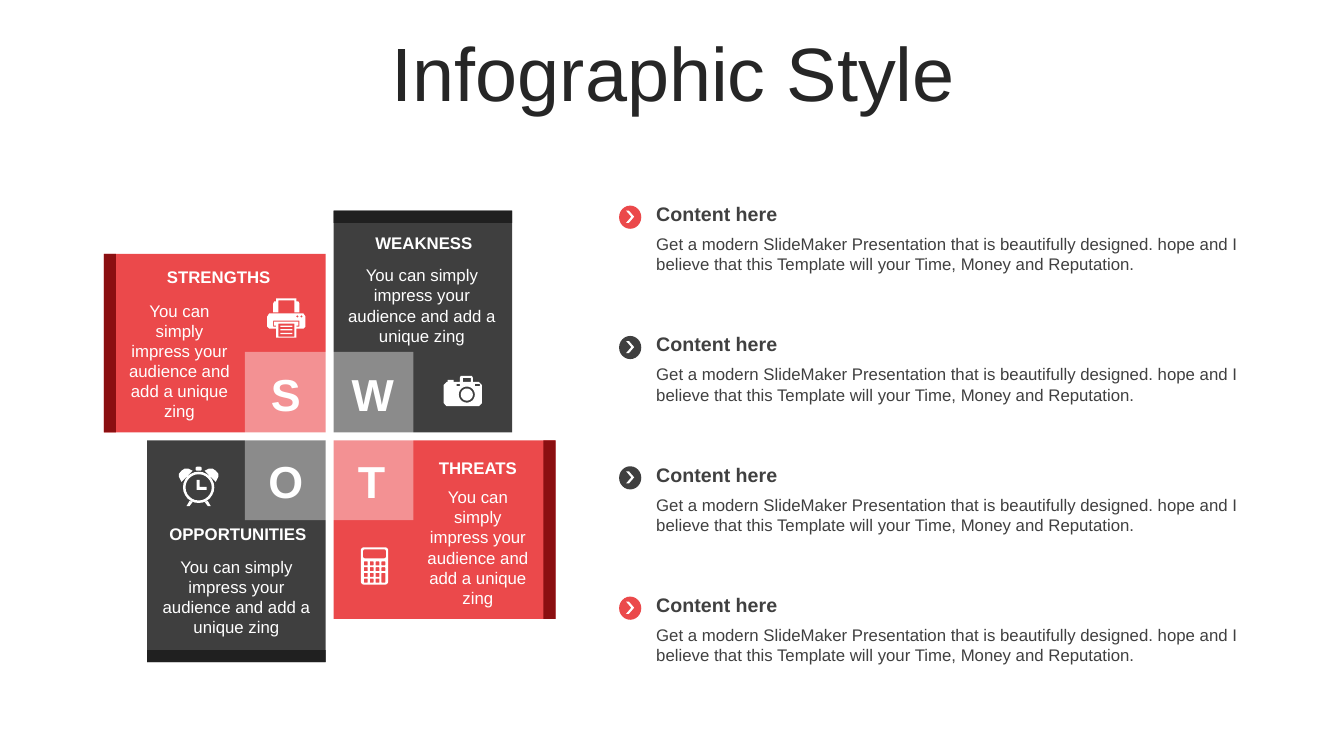
import math
from lxml import etree
from pptx import Presentation
from pptx import util as u
from pptx.dml.color import RGBColor
from pptx.enum import shapes, text
from pptx.oxml import ns

RED = RGBColor(0xEB, 0x49, 0x4B)
DEEP_RED = RGBColor(0x8B, 0x0F, 0x11)
GREY = RGBColor(0x3F, 0x3F, 0x3F)
DARK = RGBColor(0x20, 0x20, 0x20)
WHITE = RGBColor(0xFF, 0xFF, 0xFF)
INK = RGBColor(0x40, 0x40, 0x40)
TITLE_INK = RGBColor(0x26, 0x26, 0x26)
CELL = u.Inches(0.1)
FINE = 100
KIND = shapes.MSO_SHAPE
ALIGN = text.PP_ALIGN
ANCHOR = text.MSO_ANCHOR

deck = Presentation()
deck.slide_width, deck.slide_height = u.Inches(13.33), u.Inches(7.5)
page = deck.slides.add_slide(deck.slide_layouts[5])


def add_block(kind, cells, color):
    block = page.shapes.add_shape(kind, *[round(cell * CELL) for cell in cells])
    block.shadow.inherit = False
    block.fill.solid()
    block.fill.fore_color.rgb = color
    block.line.fill.background()
    return block


def add_label(cells, words, align, color, anchor=ANCHOR.TOP, **font):
    box = page.shapes.add_textbox(*[round(cell * CELL) for cell in cells])
    frame = box.text_frame
    layout = {"word_wrap": True, "vertical_anchor": anchor,
              "auto_size": text.MSO_AUTO_SIZE.SHAPE_TO_FIT_TEXT}
    for name, value in layout.items():
        setattr(frame, name, value)
    para = frame.paragraphs[0]
    para.alignment = align
    span = para.add_run()
    span.text = words
    for name, value in {"name": "Arial", **font}.items():
        setattr(span.font, name, value)
    span.font.color.rgb = color


title = page.shapes.title
placing = {"left": 3.5, "top": 3.7, "width": 126.6, "height": 7.9}
for name, value in placing.items():
    setattr(title, name, round(value * CELL))
title.text_frame.text = "Infographic Style"
title.text_frame.auto_size = text.MSO_AUTO_SIZE.NONE
title.text_frame.vertical_anchor = ANCHOR.MIDDLE
para = title.text_frame.paragraphs[0]
para.alignment, para.line_spacing = ALIGN.CENTER, 0.9
for name, value in {"name": "Arial", "size": u.Pt(54)}.items():
    setattr(para.runs[0].font, name, value)
para.runs[0].font.color.rgb = TITLE_INK

LONG, SHORT, EDGE = 22, 17.7, 1.2
panels = [
    ("STRENGTHS", RED, (10.3, 25.2, LONG, SHORT), DEEP_RED, (10.3, 25.2, EDGE, SHORT),
     (11.4, 26, 20.6, 3), (11.4, 29.3, 12.8, 13.1)),
    ("WEAKNESS", GREY, (33.1, 20.9, SHORT, LONG), DARK, (33.1, 20.9, SHORT, EDGE),
     (33.9, 22.6, 16.3, 3), (33.3, 25.8, 17.1, 9.1)),
    ("OPPORTUNITIES", GREY, (14.6, 43.7, SHORT, LONG), DARK, (14.6, 64.5, SHORT, EDGE),
     (15.1, 51.5, 17, 3), (14.9, 54.7, 17.1, 9.1)),
    ("THREATS", RED, (33.1, 43.7, LONG, SHORT), DEEP_RED, (53.9, 43.7, EDGE, SHORT),
     (41, 44.9, 12.8, 3), (41, 47.8, 12.8, 13.1)),
]
for heading, color, panel, edge_color, edge, heading_cells, note_cells in panels:
    add_block(KIND.RECTANGLE, panel, color)
    add_block(KIND.RECTANGLE, edge, edge_color)
    add_label(heading_cells, heading, ALIGN.CENTER, WHITE, size=u.Pt(12), bold=True)
    add_label(note_cells, "You can simply impress your audience and add a unique zing",
              ALIGN.CENTER, WHITE, size=u.Pt(12))

square = add_block(KIND.RECTANGLE, (24.3, 34.9, 16.7, 16.7), WHITE)
tint = square._element.spPr.find(".//" + ns.qn("a:srgbClr"))
etree.SubElement(tint, ns.qn("a:alpha"), val="40000")
for index, letter in enumerate("SWOT"):
    row, column = divmod(index, 2)
    add_label((25.4 + 8.5 * column, 35.9 + 8.6 * row, 5.9, 6.4), letter,
              ALIGN.CENTER, WHITE, size=u.Pt(32), bold=True)

for row, color in enumerate([RED, GREY, GREY, RED]):
    drop = 12.93 * row
    add_block(KIND.OVAL, (61.4, 20.4 + drop, 2.2, 2.3), color)
    arrow = add_block(KIND.CHEVRON, (62.1, 20.9 + drop, 0.8, 1.2), WHITE)
    arrow.adjustments[0] = 0.65
    add_label((64.1, 19.5 + drop, 60.2, 3.4), "Content here", ALIGN.LEFT, INK,
              ANCHOR.MIDDLE, size=u.Pt(14), bold=True)
    add_label((64.1, 22.7 + drop, 60.2, 5),
              "Get a modern SlideMaker Presentation that is beautifully designed. hope and "
              "I believe that this Template will your Time, Money and Reputation.",
              ALIGN.LEFT, INK, size=u.Pt(12))

bell = [(18, 47.8), (17.75, 47.3), (17.75, 47), (18, 46.7), (18.3, 46.5), (18.7, 46.5), (19.1, 46.7)]
leg = [(18.8, 49.7), (18.5, 50.2), (18.8, 50.2), (19.1, 49.8)]
clock = [
    (18.15, 46.8, 21.25, 49.9, 1.55), (18.4, 47.05, 21, 49.65, 1.3),
    [(19.5, 47.6), (19.8, 47.6), (19.8, 48.3), (20.5, 48.3), (20.5, 48.6), (19.5, 48.6)],
    (19.4, 46.3, 20, 46.7, 0.15), bell, leg,
    [(39.4 - x, y) for x, y in bell], [(39.4 - x, y) for x, y in leg],
]
keys = [(36.1 + 0.58 * column, 55.7 + 0.57 * row, 36.48 + 0.58 * column, 56.1 + 0.57 * row, 0.05)
        for row in range(4) for column in range(4) if column < 3 or row < 2]
calculator = [(35.8, 54.3, 38.5, 58, 0.3), (36, 54.5, 38.3, 55.4, 0.2),
              (37.84, 56.84, 38.22, 57.8, 0.05)] + keys
printer = [
    [(26.7, 31.1), (30.1, 31.1), (30.3, 31.4), (30.3, 32.4), (30.1, 32.6), (29.4, 32.6),
     (29.4, 33.5), (27.4, 33.5), (27.4, 32.6), (26.7, 32.6), (26.5, 32.4), (26.5, 31.4)],
    [(27.1, 32.4), (27.1, 31.8), (29.7, 31.8), (29.7, 32.4), (29.4, 32.4), (29.4, 32.3),
     (29.6, 32.3), (29.6, 31.9), (27.2, 31.9), (27.2, 32.3), (27.4, 32.3), (27.4, 32.4)],
    (27.6, 32.1, 29.2, 33.4, 0),
    *[(27.8, 32.3 + 0.36 * line, 29, 32.43 + 0.36 * line, 0) for line in range(3)],
    (29.4, 31.3, 29.6, 31.5, 0.1), (29.8, 31.3, 30, 31.5, 0.1),
    [(27.4, 29.6), (29.4, 29.6), (29.4, 29.9), (29.6, 29.9), (29.7, 30.1), (29.7, 31),
     (29.2, 31), (29.2, 29.8), (27.6, 29.8), (27.6, 31), (27.1, 31), (27.1, 30.1),
     (27.2, 29.9), (27.4, 29.9)],
]
camera = [
    [(45.7, 37.3), (46.8, 37.3), (46.9, 37.5), (46.9, 37.9), (47.5, 37.9), (47.8, 38.2),
     (47.8, 40), (47.5, 40.3), (44.3, 40.3), (44, 40), (44, 38.2), (44.3, 37.9),
     (44.4, 37.9), (44.4, 37.7), (45, 37.7), (45, 37.9), (45.6, 37.9), (45.6, 37.5)],
    (45.9, 37.5, 46.7, 37.9, 0), (45.3, 38.1, 45.6, 38.3, 0), (47.1, 38.1, 47.6, 38.3, 0),
    (45.5, 38.35, 47.1, 39.95, 0.8), (45.7, 38.55, 46.9, 39.75, 0.6),
]
for icon in (clock, calculator, printer, camera):
    for index, contour in enumerate(icon):
        points = contour
        if isinstance(contour, tuple):
            left, top, right, bottom, radius = contour
            corners = [(right - radius, bottom - radius), (left + radius, bottom - radius),
                       (left + radius, top + radius), (right - radius, top + radius)]
            points = [(x + radius * math.cos(math.pi * (turn + step / 6) / 2),
                       y + radius * math.sin(math.pi * (turn + step / 6) / 2))
                      for turn, (x, y) in enumerate(corners) for step in range(7)]
        points = [(round(x * FINE), round(y * FINE)) for x, y in points]
        if index:
            pen.move_to(*points[0])
        else:
            pen = page.shapes.build_freeform(*points[0], scale=CELL / FINE)
        pen.add_line_segments(points[1:], close=True)
    drawing = pen.convert_to_shape()
    drawing.shadow.inherit = False
    drawing.fill.solid()
    drawing.fill.fore_color.rgb = WHITE
    drawing.line.fill.background()

deck.save("out.pptx")
